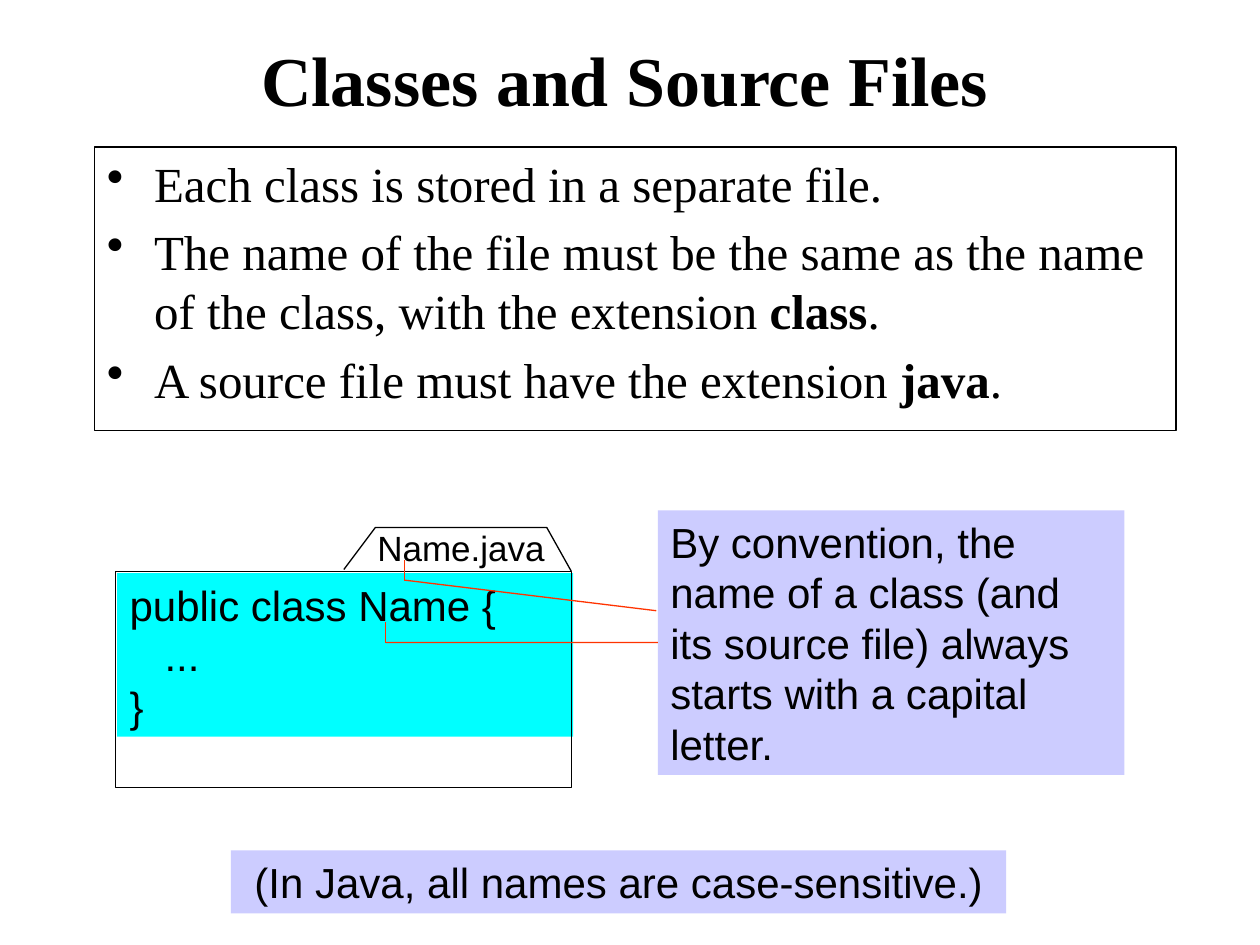
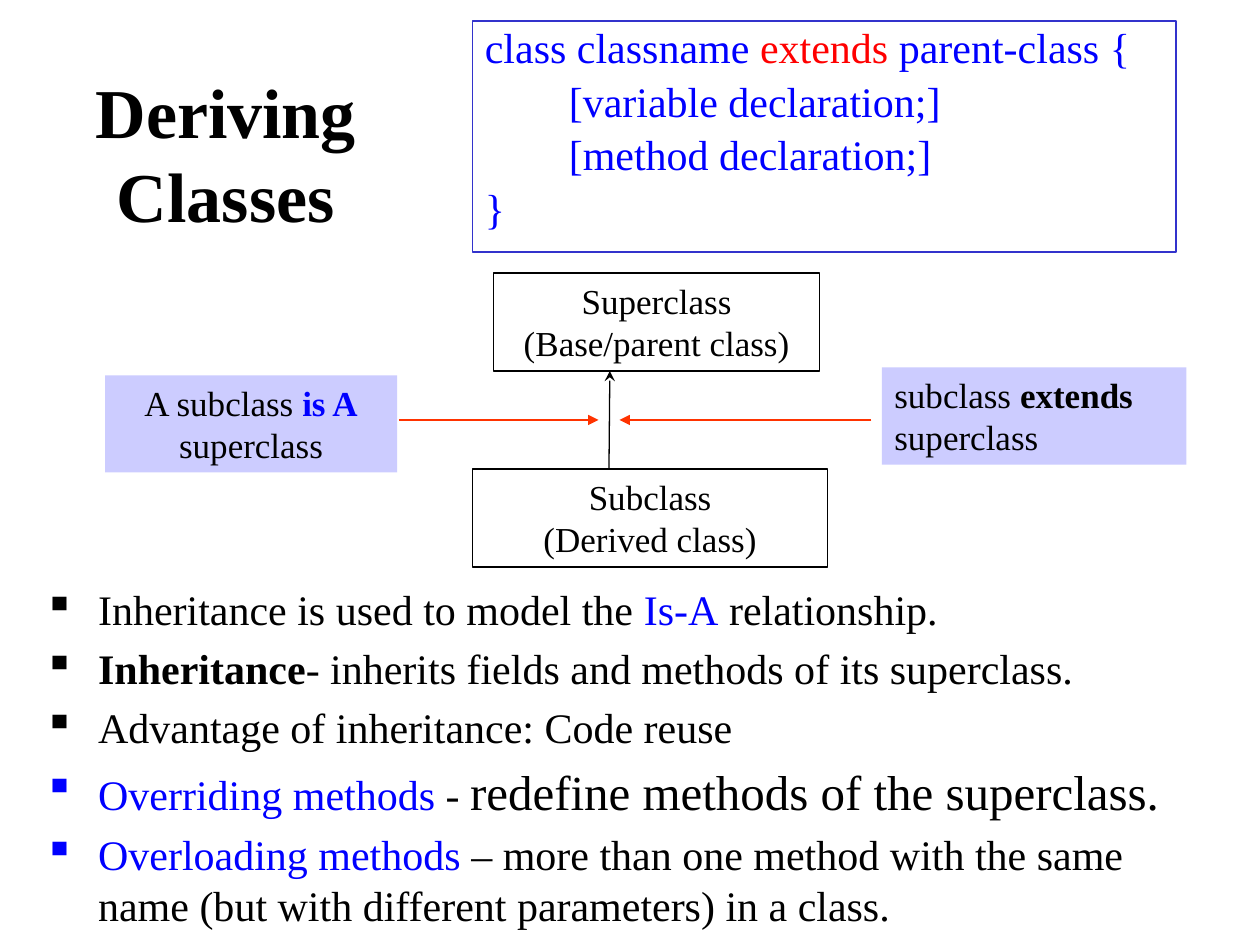
import pptx
import pptx.util
import pptx.oxml
import pptx.dml.color
import pptx.enum.shapes
import pptx.enum.text

Pt = pptx.util.Pt
ALIGN = pptx.enum.text.PP_ALIGN
ANCHOR = pptx.enum.text.MSO_ANCHOR
SHAPE = pptx.enum.shapes.MSO_SHAPE


class Theme:
    black, blue, red = "000000", "0000FF", "FF0000"
    frame, lilac, cyan, orange = "3333CC", "CCCCFF", "00FFFF", "FF3300"
    serif, sans = "Times New Roman", "Arial"
    title, large, text, small = 40, 28, 24, 20
    line = 0.75


# A paragraph is a list of runs; a run is (words, format changes).
BOLD = {"bold": True}
BLUE = {"color": Theme.blue}
RED = {"color": Theme.red}

FILES = {
    "title": "Classes and Source Files",
    "rules": [
        [("Each class is stored in a separate file.", {})],
        [("The name of the file must be the same as the name of the class, "
          "with the extension ", {}), ("class", BOLD), (".", {})],
        [("A source file must have the extension ", {}), ("java", BOLD), (".", {})],
    ],
    "tab": "Name.java",
    "code": ["public class Name {", "   ...", "}"],
    "habit": "By convention, the name of a class (and its source file) "
             "always starts with a capital letter.",
    "case": "(In Java, all names are case-sensitive.)",
}

DERIVE = {
    "title": "Deriving Classes",
    "syntax": [
        [("class classname ", BLUE), ("extends", RED), (" parent-class {", BLUE)],
        [("[variable declaration;]", BLUE)],
        [("[method declaration;]", BLUE)],
        [("}", BLUE)],
    ],
    "super": ["Superclass", "(Base/parent class)"],
    "sub": ["Subclass", "(Derived class)"],
    "is a": [[("A subclass ", {}), ("is A", BOLD | BLUE), (" superclass", {})]],
    "extends": [[("subclass ", {}), ("extends", BOLD), (" superclass", {})]],
    "points": [
        [("Inheritance is used to model the ", {}), ("Is-A", BLUE),
         (" relationship.", {})],
        [("Inheritance", BOLD),
         ("- inherits fields and methods of its superclass.", {})],
        [("Advantage of inheritance: Code reuse", {})],
        [("Overriding methods", BLUE), (" - ", {}),
         ("redefine methods of the superclass.", {"size": Theme.large})],
        [("Overloading methods", BLUE),
         (" – more than one method with the same name "
          "(but with different parameters) in a class.", {})],
    ],
}


def rgb(code):
    return pptx.dml.color.RGBColor.from_string(code)


def node(tag, **attrs):
    item = pptx.oxml.parse_xml(
        f'<a:{tag} xmlns:a="http://schemas.openxmlformats.org/drawingml/2006/main"/>')
    for name, val in attrs.items():
        item.set(name, val)
    return item


def style(font, **form):
    for name, val in form.items():
        if name == "color":
            font.color.rgb = rgb(val)
        else:
            setattr(font, name, Pt(val) if name == "size" else val)


def write(shape, paras, size=Theme.text, face=Theme.serif, align=ALIGN.LEFT,
          anchor=ANCHOR.TOP, bold=False, gap=0, lead=None, bullet=None, hang=0,
          inset=()):
    """Fill a shape with text; inset lists the paragraphs indented by hang."""
    frame = shape.text_frame
    setup = {"word_wrap": True, "auto_size": pptx.enum.text.MSO_AUTO_SIZE.NONE,
             "vertical_anchor": anchor}
    for name, val in setup.items():
        setattr(frame, name, val)
    for i, runs in enumerate(paras):
        para = frame.paragraphs[0] if i == 0 else frame.add_paragraph()
        runs = [(runs, {})] if isinstance(runs, str) else runs
        props = para._p.get_or_add_pPr()
        if bullet:
            props.set("marL", str(Pt(hang)))
            props.set("indent", str(-Pt(hang)))
            tint = node("buClr")
            tint.append(node("srgbClr", val=runs[0][1].get("color", Theme.black)))
            props.append(tint)
            props.append(node("buChar", char=bullet))
        elif i in inset:
            props.set("marL", str(Pt(hang)))
        para.alignment = align
        if lead:
            para.line_spacing = lead
        if gap and i:
            tall = max(form.get("size", size) for _, form in runs)
            para.space_before = Pt(gap * tall)
        base = {"size": size, "name": face, "color": Theme.black, "bold": bold}
        for words, form in runs:
            run = para.add_run()
            run.text = words
            style(run.font, **(base | form))


def paint(shape, fill=None, line=None):
    shape.shadow.inherit = False
    if fill:
        shape.fill.solid()
        shape.fill.fore_color.rgb = rgb(fill)
    else:
        shape.fill.background()
    if line:
        shape.line.color.rgb = rgb(line)
        shape.line.width = Pt(Theme.line)
    else:
        shape.line.fill.background()


def box(shapes, place, paras=(), fill=None, line=None, **form):
    place = [Pt(n) for n in place]
    if fill or line:
        shape = shapes.add_shape(SHAPE.RECTANGLE, *place)
        paint(shape, fill, line)
    else:
        shape = shapes.add_textbox(*place)
    if paras:
        write(shape, paras, **form)
    return shape


def link(shapes, start, end, color=Theme.orange, head=None):
    kind = pptx.enum.shapes.MSO_CONNECTOR.STRAIGHT
    wire = shapes.add_connector(kind, *[Pt(n) for n in (*start, *end)])
    wire.line.color.rgb = rgb(color)
    wire.line.width = Pt(Theme.line)
    if head:
        wire.line._get_or_add_ln().append(node("tailEnd", type=head))
    wire._element.spPr.append(node("effectLst"))
    return wire


def start(deck, title, place):
    slide = deck.slides.add_slide(deck.slide_layouts[5])
    head = slide.shapes.title
    for name, val in zip(("left", "top", "width", "height"), place):
        setattr(head, name, Pt(val))
    write(head, [title], size=Theme.title, align=ALIGN.CENTER,
          anchor=ANCHOR.MIDDLE, bold=True)
    return slide.shapes


def files(deck):
    shapes = start(deck, FILES["title"], (54, 12, 606, 66))
    box(shapes, (54, 84, 618, 162), FILES["rules"], line=Theme.black,
        size=Theme.large, gap=0.2, bullet="•", hang=27)

    folder = shapes.add_group_shape().shapes
    box(folder, (67, 327.5, 260.5, 93.5), FILES["code"], fill=Theme.cyan,
        face=Theme.sans)
    box(folder, (66, 326.5, 260.5, 123.5), line=Theme.black)
    edge = [(196.5, 325.5), (214.5, 301.5), (312.5, 301.5), (326.5, 326.5)]
    pen = folder.build_freeform(*[Pt(n) for n in edge[0]], scale=1.0)
    pen.add_line_segments([(Pt(x), Pt(y)) for x, y in edge[1:]], close=False)
    paint(pen.convert_to_shape(), line=Theme.black)
    box(folder, (201.5, 297.5, 124, 31), [FILES["tab"]], size=Theme.small,
        face=Theme.sans, align=ALIGN.CENTER)

    habit = box(shapes, (376, 291.6, 266.5, 151.2), [FILES["habit"]],
                fill=Theme.lilac, face=Theme.sans)
    tab, name, mid = (231, 331.5), (220.5, 367.2), (376, 367.2)
    link(shapes, tab, (375, 349))
    link(shapes, name, mid).end_connect(habit, 1)
    for x, y in (tab, name):
        link(shapes, (x, y), (x, y - 11.5))
    box(shapes, (132, 486, 443, 36), [FILES["case"]], fill=Theme.lilac,
        face=Theme.sans, align=ALIGN.CENTER)


def derive(deck):
    shapes = start(deck, DERIVE["title"], (42, 36, 174, 102))
    box(shapes, (270, 12, 402, 132), DERIVE["syntax"], line=Theme.frame,
        gap=0.2, lead=0.9, hang=48, inset=(1, 2))

    small = {"size": Theme.small}
    mid = small | {"align": ALIGN.CENTER}
    box(shapes, (282, 156, 186.5, 56), DERIVE["super"], line=Theme.black, **mid)
    box(shapes, (270, 268, 203, 56), DERIVE["sub"], line=Theme.black, **mid)
    link(shapes, (348, 268), (348.5, 212), Theme.black, "stealth")
    box(shapes, (504, 210, 174, 55.5), DERIVE["extends"], fill=Theme.lilac, **small)
    box(shapes, (60, 214.5, 167, 55.5), DERIVE["is a"], fill=Theme.lilac, **mid)
    for x, tip in ((498, 354), (228, 342)):
        link(shapes, (x, 240), (tip, 240), head="triangle")

    box(shapes, (18, 330, 678, 210), DERIVE["points"], gap=0.2, bullet="▪", hang=31)


def main():
    deck = pptx.Presentation()
    deck.slide_width, deck.slide_height = Pt(720), Pt(540)
    files(deck)
    derive(deck)
    deck.save("out.pptx")


if __name__ == "__main__":
    main()
